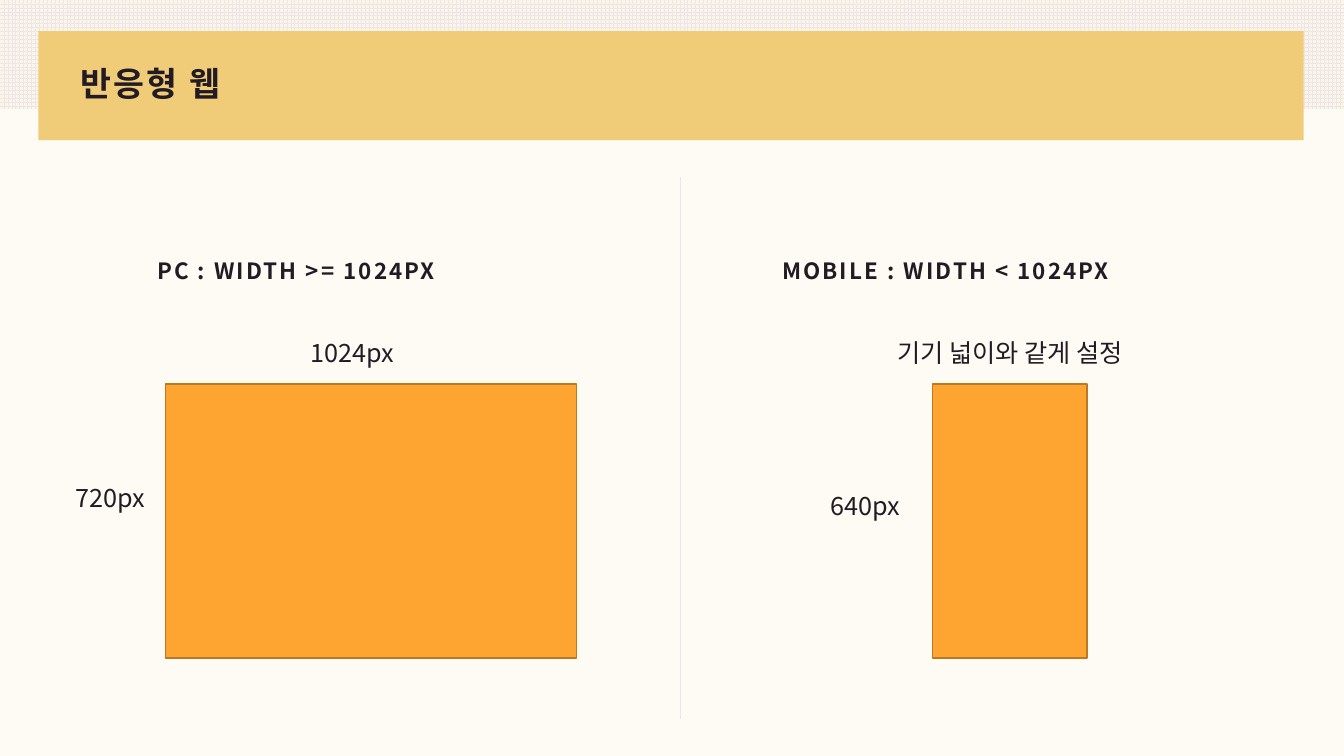
from lxml import etree
from pptx import Presentation
from pptx import util as u
from pptx.dml.color import RGBColor
from pptx.enum import dml, shapes, text
from pptx.oxml import ns

INK, GRID, CREAM = "231B23", "EBE6EB", "FCF5E5"
PAGE, BANNER = "FEFBF5", "F0CC79"
SCREEN, SCREEN_EDGE = "FDA431", "BB7924"
HEAD_FONT, LABEL_FONT = "Noto Sans CJK KR", "Noto Sans CJK JP"


def color(hex_value):
    return RGBColor.from_string(hex_value)


def box(*lengths):
    return [u.Inches(n) for n in lengths]


def add_rect(s, at, fill, edge=None):
    sp = s.shapes.add_shape(shapes.MSO_SHAPE.RECTANGLE, *box(*at))
    sp.shadow.inherit = False
    sp.fill.solid()
    sp.fill.fore_color.rgb = color(fill)
    if edge:
        sp.line.color.rgb = color(edge)
        sp.line.width = u.Pt(1)
    else:
        sp.line.fill.background()
    return sp


def add_grid_band(s, at):
    sp = add_rect(s, at, CREAM)
    sp.fill.patterned()
    sp.fill.pattern = dml.MSO_PATTERN.LARGE_GRID
    sp.fill.fore_color.rgb = color(GRID)
    sp.fill.back_color.rgb = color(CREAM)


def add_divider(s, x, top, bottom):
    line = s.shapes.add_connector(
        shapes.MSO_CONNECTOR.STRAIGHT, *box(x, top, x, bottom))
    line.line.color.rgb = color(GRID)
    line.line.width = u.Pt(0.5)
    etree.SubElement(line._element.spPr, ns.qn("a:effectLst"))


def add_text(s, at, words, size, font):
    tf = s.shapes.add_textbox(*box(*at)).text_frame
    p = tf.paragraphs[0]
    p.text = words
    r = p.runs[0]
    r.font.size = u.Pt(size)
    r.font.name = font
    r.font.color.rgb = color(INK)
    # Korean glyphs take the East Asian typeface
    ea = etree.SubElement(r._r.get_or_add_rPr(), ns.qn("a:ea"))
    ea.set("typeface", font)
    return tf


def add_heading(s, at, words, size, line_spacing, before=0):
    tf = add_text(s, at, words, size, HEAD_FONT)
    tf.word_wrap = True
    tf.vertical_anchor = text.MSO_ANCHOR.MIDDLE
    p = tf.paragraphs[0]
    p.line_spacing = line_spacing
    p.space_before = u.Pt(before)
    r = p.runs[0]
    r.font.bold = True
    r._r.get_or_add_rPr().set("spc", "150")


def add_label(s, at, words):
    tf = add_text(s, at, words, 18, LABEL_FONT)
    tf.word_wrap = False
    tf.auto_size = text.MSO_AUTO_SIZE.SHAPE_TO_FIT_TEXT


def add_layout(s, heading, heading_x, screen, width_label, height_label):
    """One half: condition, screen outline and its two dimensions."""
    add_heading(s, (heading_x, 2.23, 5.51, 0.77), heading, 16, 1.5, 15)
    x, width = screen
    add_rect(s, (x, 3.81, width, 2.72), SCREEN, SCREEN_EDGE)
    words, x, width = width_label
    add_label(s, (x, 3.3, width, 0.4), words)
    words, x, y = height_label
    add_label(s, (x, y, 0.96, 0.4), words)


def main():
    prs = Presentation()
    prs.slide_width, prs.slide_height = box(13.33, 7.5)
    s = prs.slides.add_slide(prs.slide_layouts[6])

    # Background and title banner
    s.background.fill.solid()
    s.background.fill.fore_color.rgb = color(PAGE)
    add_grid_band(s, (0, 0, 13.33, 1.08))
    add_rect(s, (0.38, 0.31, 12.55, 1.08), BANNER)
    add_heading(s, (0.7, 0.53, 11.93, 0.64), "반응형 웹", 24, 0.9)

    # PC and mobile halves
    add_divider(s, 6.75, 1.76, 7.13)
    add_layout(s, "PC : WIDTH >= 1024PX", 1.46, (1.64, 4.08),
               ("1024px", 2.98, 1.12), ("720px", 0.65, 4.74))
    add_layout(s, "MOBILE : WIDTH < 1024PX", 7.66, (9.25, 1.53),
               ("기기 넓이와 같게 설정", 8.8, 2.73), ("640px", 8.14, 4.82))

    prs.save("out.pptx")


main()
